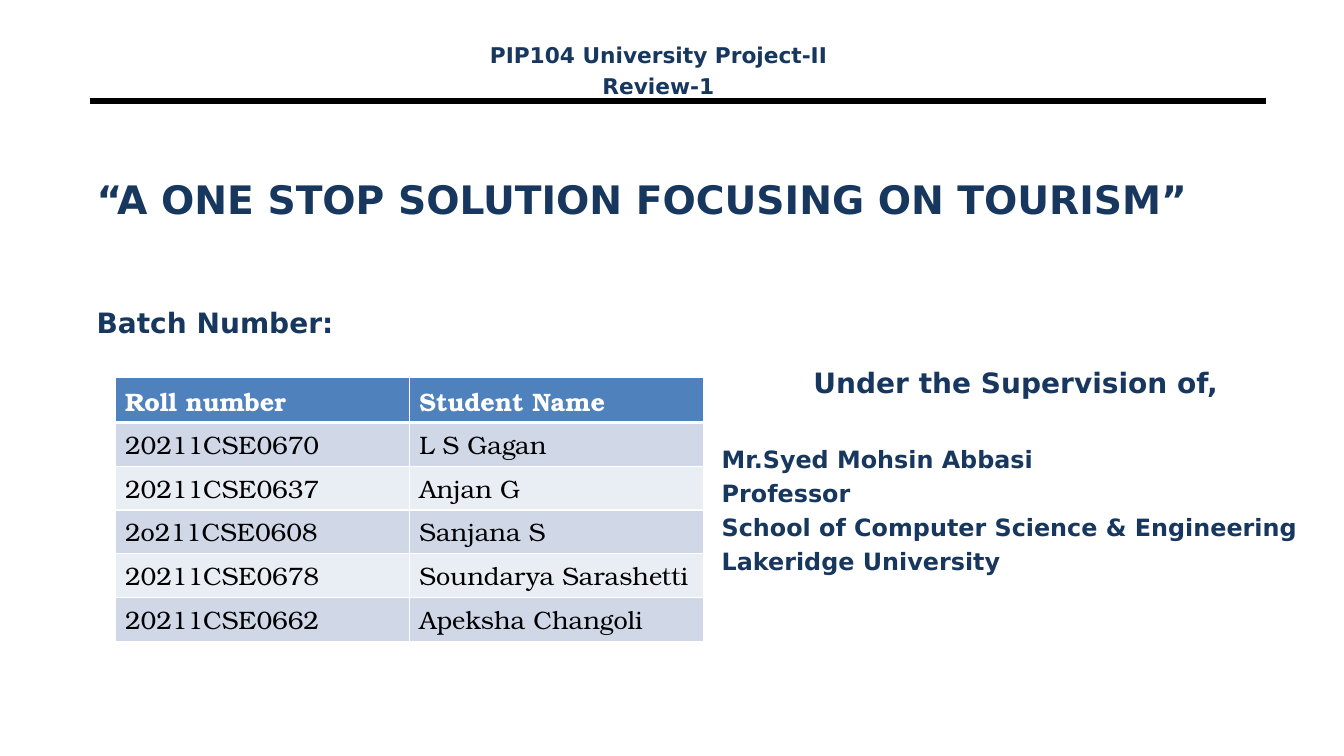
from dataclasses import dataclass

from lxml.etree import SubElement
from pptx import Presentation
from pptx.dml.color import RGBColor
from pptx.enum.shapes import MSO_CONNECTOR
from pptx.enum.text import MSO_ANCHOR, PP_ALIGN
from pptx.oxml import parse_xml
from pptx.oxml.ns import nsdecls, qn
from pptx.util import Inches, Pt


@dataclass(frozen=True)
class Theme:
    heading_font: str = "DejaVu Sans"
    table_font: str = "TeX Gyre Bonum"
    navy: str = "17375E"
    black: str = "000000"
    white: str = "FFFFFF"
    header_fill: str = "4F81BD"
    band_fills: tuple = ("D0D8E8", "E9EDF4")
    title: float = 28
    subtitle: float = 20
    table: float = 18
    supervisor: float = 17
    course: float = 15.5


THEME = Theme()
LEFT, CENTER = PP_ALIGN.LEFT, PP_ALIGN.CENTER

# Each line: text, size, alignment, space before in points
TITLE = [("“A ONE STOP SOLUTION FOCUSING ON TOURISM”", THEME.title, LEFT, 0)]
BATCH = [("Batch Number:", THEME.subtitle, LEFT, 0)]
COURSE = [
    ("PIP104 University Project-II", THEME.course, CENTER, 0),
    ("Review-1", THEME.course, CENTER, 3.4),
]
SUPERVISION = [
    ("Under the Supervision of,", THEME.subtitle, CENTER, 0),
    ("Mr.Syed Mohsin Abbasi", THEME.supervisor, LEFT, 32),
    ("Professor", THEME.supervisor, LEFT, 4),
    ("School of Computer Science & Engineering", THEME.supervisor, LEFT, 4),
    ("Lakeridge University", THEME.supervisor, LEFT, 4),
]
STUDENTS = [
    ("Roll number", "Student Name"),
    ("20211CSE0670", "L S Gagan"),
    ("20211CSE0637", "Anjan G"),
    ("2o211CSE0608", "Sanjana S"),
    ("20211CSE0678", "Soundarya Sarashetti"),
    ("20211CSE0662", "Apeksha Changoli"),
]

SLIDE_SIZE = (13.33, 7.5)
MARGIN = 0.86
RULE_START, RULE_END, RULE_TOP = 0.89, 12.56, 1
TABLE_LEFT, TABLE_TOP = 1.14, 3.74
COLUMN_WIDTH, HEADER_HEIGHT, ROW_HEIGHT = 2.92, 0.45, 0.435
TEXT_BLOCKS = [
    (TITLE, (MARGIN, 1.17, 11.33, 1.61), MSO_ANCHOR.MIDDLE),
    (BATCH, (MARGIN, 2.98, 4.34, 0.6), MSO_ANCHOR.TOP),
    (SUPERVISION, (7.06, 3.58, 6.03, 2.66), MSO_ANCHOR.TOP),
    (COURSE, (4.36, 0.37, 4.34, 0.6), MSO_ANCHOR.TOP),
]


def style_text(paragraph, font, size, color, bold):
    for run in paragraph.runs:
        run.font.name = font
        run.font.size = Pt(size)
        run.font.bold = bold
        run.font.color.rgb = RGBColor.from_string(color)


def add_text(slide, lines, box, anchor):
    frame = slide.shapes.add_textbox(*map(Inches, box)).text_frame
    frame.word_wrap = True
    frame.vertical_anchor = anchor
    frame.text = "\n".join(line[0] for line in lines)
    for paragraph, (_, size, alignment, space) in zip(frame.paragraphs, lines):
        paragraph.alignment = alignment
        paragraph.space_before = Pt(space)
        style_text(paragraph, THEME.heading_font, size, THEME.navy, True)


def add_rule(slide):
    rule = slide.shapes.add_connector(
        MSO_CONNECTOR.STRAIGHT,
        *map(Inches, (RULE_START, RULE_TOP, RULE_END, RULE_TOP)))
    rule.line.width = Pt(4.5)
    rule.line.color.rgb = RGBColor.from_string(THEME.black)
    SubElement(rule._element.spPr, qn("a:effectLst"))


def set_borders(cell, top, bottom):
    """Draw white borders; top and bottom are widths in points."""
    properties = cell._tc.get_or_add_tcPr()
    widths = {"lnL": 1, "lnR": 1, "lnT": top, "lnB": bottom}
    for position, (side, width) in enumerate(widths.items()):
        properties.insert(position, parse_xml(
            f'<a:{side} {nsdecls("a")} w="{Pt(width)}"><a:solidFill>'
            f'<a:srgbClr val="{THEME.white}"/></a:solidFill></a:{side}>'))


def add_students(slide):
    row_count, column_count = len(STUDENTS), len(STUDENTS[0])
    height = HEADER_HEIGHT + (row_count - 1) * ROW_HEIGHT
    box = (TABLE_LEFT, TABLE_TOP, column_count * COLUMN_WIDTH, height)
    table = slide.shapes.add_table(
        row_count, column_count, *map(Inches, box)).table
    for column in table.columns:
        column.width = Inches(COLUMN_WIDTH)
    for row, values in enumerate(STUDENTS):
        header = row == 0
        table.rows[row].height = Inches(HEADER_HEIGHT if header else ROW_HEIGHT)
        fill = THEME.header_fill if header else THEME.band_fills[(row - 1) % 2]
        color = THEME.white if header else THEME.black
        for column, value in enumerate(values):
            cell = table.cell(row, column)
            cell.text = value
            cell.fill.solid()
            cell.fill.fore_color.rgb = RGBColor.from_string(fill)
            style_text(cell.text_frame.paragraphs[0], THEME.table_font,
                       THEME.table, color, header)
            set_borders(cell, 3 if row == 1 else 1, 3 if header else 1)


def main():
    presentation = Presentation()
    presentation.slide_width, presentation.slide_height = map(Inches, SLIDE_SIZE)
    slide = presentation.slides.add_slide(presentation.slide_layouts[6])
    add_rule(slide)
    for lines, box, anchor in TEXT_BLOCKS:
        add_text(slide, lines, box, anchor)
    add_students(slide)
    presentation.save("out.pptx")


if __name__ == "__main__":
    main()
